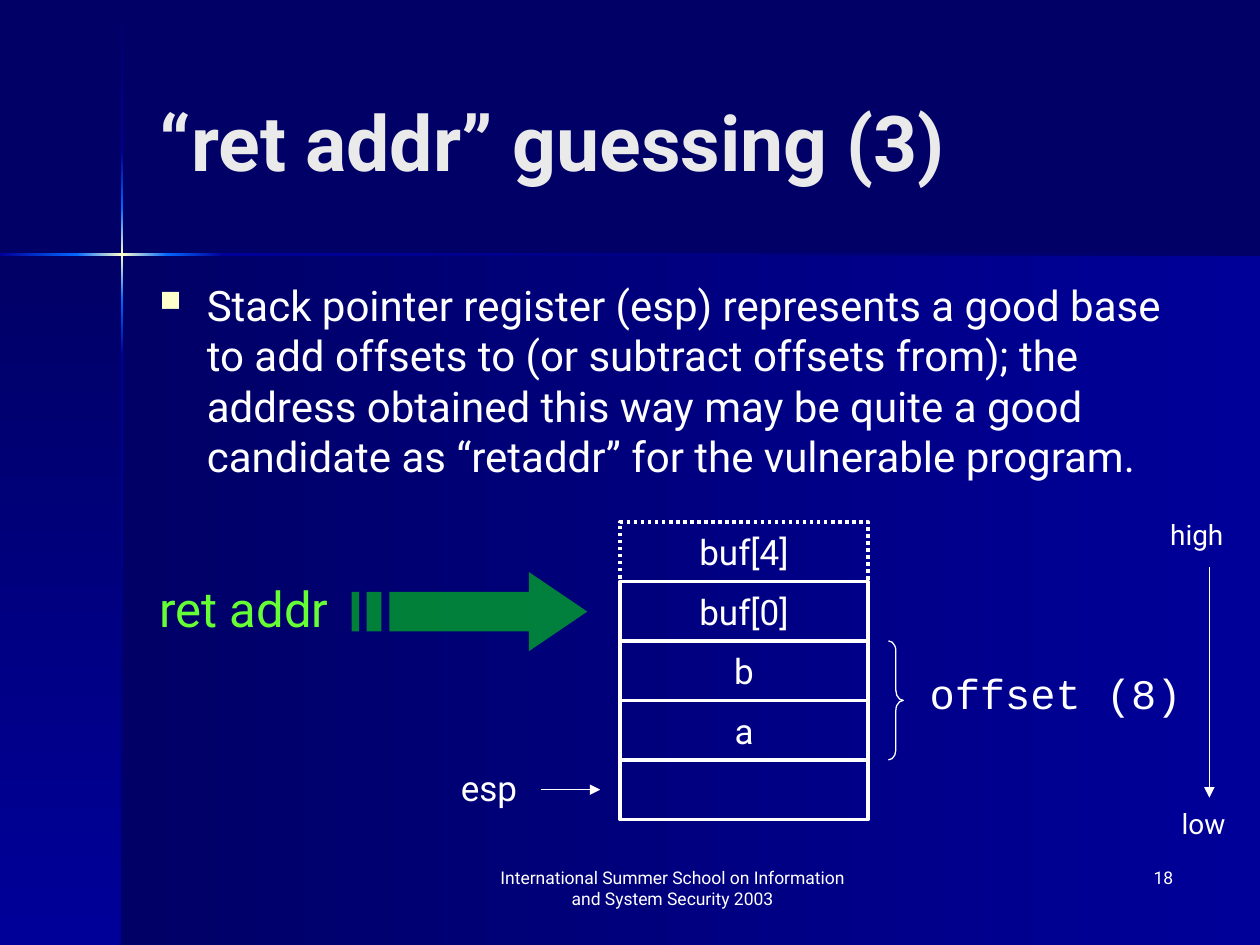
from collections import namedtuple
from itertools import pairwise

from lxml.etree import SubElement
from pptx import Presentation
from pptx.dml.color import RGBColor
from pptx.enum.dml import MSO_LINE as Dash
from pptx.enum.shapes import MSO_CONNECTOR as Connector, MSO_SHAPE as Shape
from pptx.enum.text import MSO_ANCHOR as Anchor, PP_ALIGN as Align
from pptx.oxml.ns import qn
from pptx.util import Cm, Pt

NAVY = RGBColor(0x00, 0x00, 0x66)
BLUE = RGBColor(0x00, 0x00, 0x99)
AZURE = RGBColor(0x00, 0x66, 0xFF)
CREAM = RGBColor(0xFF, 0xFF, 0xCC)
SILVER = RGBColor(0xEA, 0xEA, 0xEA)
WHITE = RGBColor(0xFF, 0xFF, 0xFF)
GREEN = RGBColor(0x00, 0xFF, 0x00)
LIME = RGBColor(0x66, 0xFF, 0x33)

ACROSS, DOWN = 0, 270
STREAK = 0.05

Box = namedtuple("Box", "left top width height")


def lengths(box):
    """Turn a box in centimetres into slide lengths."""
    return [Cm(value) for value in box]


def write(frame, text, size, color=WHITE, align=Align.LEFT, anchor=Anchor.TOP,
          wrap=True, **font):
    """Put one formatted paragraph into a text frame and return it."""
    for name, value in {"word_wrap": wrap, "vertical_anchor": anchor}.items():
        setattr(frame, name, value)
    para = frame.paragraphs[0]
    para.alignment = align
    span = para.add_run()
    span.text = text
    for name, value in {"name": "Roboto", "size": Pt(size), **font}.items():
        setattr(span.font, name, value)
    span.font.color.rgb = color
    return para


def add_text(page, box, text, size, **options):
    """Add a text box and return its paragraph."""
    frame = page.shapes.add_textbox(*lengths(box)).text_frame
    return write(frame, text, size, **options)


def add_outline(page, kind, box, weight):
    """Add an unfilled shape with a white outline."""
    shape = page.shapes.add_shape(kind, *lengths(box))
    shape.shadow.inherit = False
    shape.fill.background()
    shape.line.color.rgb = WHITE
    shape.line.width = Pt(weight)
    return shape


def add_arrow(page, start, end):
    """Add a thin white line that ends in an arrowhead."""
    line = page.shapes.add_connector(
        Connector.STRAIGHT, *lengths(start), *lengths(end))
    line.line.color.rgb = WHITE
    line.line.width = Pt(0.75)
    SubElement(line.line._get_or_add_ln(), qn("a:tailEnd"), type="triangle")
    SubElement(line._element.spPr, qn("a:effectLst"))


def add_gradient(page, box, colors, angle):
    """Add a borderless rectangle shaded between two colours."""
    shape = page.shapes.add_shape(Shape.RECTANGLE, *lengths(box))
    shape.shadow.inherit = False
    shape.line.fill.background()
    shape.fill.gradient()
    shape.fill.gradient_angle = angle
    for stop, color, position in zip(shape.fill.gradient_stops, colors, (0, 1)):
        stop.color.rgb = color
        stop.position = position


def backdrop(page, box, cross_x, cross_y):
    """Shade the lower panels and draw the glowing cross."""
    page.background.fill.solid()
    page.background.fill.fore_color.rgb = NAVY
    low = box.height - cross_y
    add_gradient(page, Box(cross_x, cross_y, box.width - cross_x, low),
                 (NAVY, BLUE), ACROSS)
    add_gradient(page, Box(0, cross_y, cross_x, low), (NAVY, BLUE), DOWN)
    column = [(0, NAVY), (3.07, BLUE), (4.19, AZURE), (cross_y, CREAM),
              (6.05, AZURE), (7.16, BLUE), (box.height, NAVY)]
    for (top, first), (bottom, last) in pairwise(column):
        place = Box(cross_x - STREAK / 2, top, STREAK, bottom - top)
        add_gradient(page, place, (first, last), DOWN)
    row = [(0, BLUE), (1.53, AZURE), (cross_x, CREAM),
           (3.38, AZURE), (4.5, BLUE), (box.width, NAVY)]
    for (left, first), (right, last) in pairwise(row):
        place = Box(left, cross_y - STREAK / 2, right - left, STREAK)
        add_gradient(page, place, (first, last), ACROSS)


def heading(page, box, text):
    """Move and format the title placeholder."""
    title = page.shapes.title
    for name, value in zip(box._fields, lengths(box)):
        setattr(title, name, value)
    write(title.text_frame, text, 44, SILVER, anchor=Anchor.MIDDLE, bold=True)


def bullet_text(page, box, text):
    """Add a paragraph with a small square bullet."""
    props = add_text(page, box, text, 24)._p.get_or_add_pPr()
    for name, value in {"marL": Cm(0.95), "indent": -Cm(0.95)}.items():
        props.set(name, str(value))
    tint = SubElement(props, qn("a:buClr"))
    SubElement(tint, qn("a:srgbClr"), val=str(CREAM))
    SubElement(props, qn("a:buSzPct"), val="70000")
    SubElement(props, qn("a:buChar"), char="■")


def stack(page, box, labels):
    """Draw the memory cells, the top one dotted."""
    height = box.height / len(labels)
    for index, label in reversed(list(enumerate(labels))):
        place = Box(box.left, box.top + index * height, box.width, height)
        cell = add_outline(page, Shape.RECTANGLE, place, 2)
        if index == 0:
            cell.line.dash_style = Dash.ROUND_DOT
        if label:
            write(cell.text_frame, label, 20, align=Align.CENTER,
                  anchor=Anchor.MIDDLE)


def return_pointer(page, box):
    """Draw the return address label and its striped arrow."""
    add_text(page, Box(box.left, box.top, 4.24, 1.45), "ret addr", 28,
             color=LIME, wrap=False)
    left, top = box.left + 4.12, box.top
    tip, neck, middle = box.width - 4.12, 3.57, box.height / 2
    upper, lower = box.height / 4, box.height * 3 / 4
    outlines = [
        [(0.76, upper), (neck, upper), (neck, 0), (tip, middle),
         (neck, box.height), (neck, lower), (0.76, lower)],
        *([(start, upper), (end, upper), (end, lower), (start, lower)]
          for start, end in ((0, 0.15), (0.3, 0.6))),
    ]
    contours = [[(Cm(left + x), Cm(top + y)) for x, y in outline]
                for outline in outlines]
    builder = page.shapes.build_freeform(*contours[0][0])
    for contour in contours:
        if contour is not contours[0]:
            builder.move_to(*contour[0])
        builder.add_line_segments(contour[1:], close=True)
    arrow = builder.convert_to_shape()
    arrow.shadow.inherit = False
    arrow.line.fill.background()
    arrow.fill.solid()
    arrow.fill.fore_color.rgb = GREEN
    color = arrow._element.spPr.find(qn("a:solidFill")).find(qn("a:srgbClr"))
    SubElement(color, qn("a:alpha"), val="50000")


def stack_pointer(page, box):
    """Draw the esp label and its arrow."""
    add_text(page, Box(box.left, box.top, 1.68, 1.12), "esp", 20, wrap=False)
    middle, right = box.top + box.height / 2, box.left + box.width
    add_arrow(page, (right - 1.2, middle), (right, middle))


def offset_brace(page, box):
    """Draw the brace and the offset label beside it."""
    brace = add_outline(page, Shape.RIGHT_BRACE,
                        Box(box.left, box.top, 0.3, box.height), 0.75)
    brace.adjustments[0] = 0.67
    add_text(page, Box(box.left + 0.58, box.top + 0.42, 5.59, 1.27),
             "offset (8)", 24, wrap=False, name="Courier New")


def address_axis(page, box):
    """Draw the arrow from high to low addresses."""
    bottom = box.top + box.height - 0.94
    add_text(page, Box(box.left, box.top, 1.68, 0.94), "high", 16, wrap=False)
    add_text(page, Box(box.left + 0.23, bottom, 1.42, 0.94), "low", 16, wrap=False)
    axis = box.left + 1.04
    add_arrow(page, (axis, box.top + 1.12), (axis, bottom - 0.05))


def footer(page, box):
    """Add the event name and the page number."""
    add_text(page, Box(box.left, box.top, 8.05, box.height),
             "International Summer School on Information and System Security 2003",
             10, align=Align.CENTER)
    add_text(page, Box(box.left + box.width - 5.28, box.top, 5.28, box.height),
             "18", 10, align=Align.RIGHT)


def main():
    """Build and save the deck."""
    deck = Presentation()
    deck.slide_width, deck.slide_height = Cm(25.4), Cm(19.05)
    page = deck.slides.add_slide(deck.slide_layouts[5])
    backdrop(page, Box(0, 0, 25.4, 19.05), 2.46, 5.13)
    heading(page, Box(2.97, 0.84, 20.96, 3.99), "“ret addr” guessing (3)")
    bullet_text(page, Box(2.97, 5.51, 20.96, 4.5),
                "Stack pointer register (esp) represents a good base to add offsets "
                "to (or subtract offsets from); the address obtained this way may be "
                "quite a good candidate as “retaddr” for the vulnerable program.")
    stack(page, Box(12.5, 10.52, 5, 6), ["buf[4]", "buf[0]", "b", "a", ""])
    return_pointer(page, Box(2.97, 11.53, 8.87, 1.6))
    stack_pointer(page, Box(9.04, 15.32, 3.06, 1.2))
    offset_brace(page, Box(17.91, 12.92, 6.17, 2.4))
    address_axis(page, Box(23.34, 10.31, 1.68, 6.76))
    footer(page, Box(9.53, 17.35, 14.37, 1.27))
    deck.save("out.pptx")


if __name__ == "__main__":
    main()
